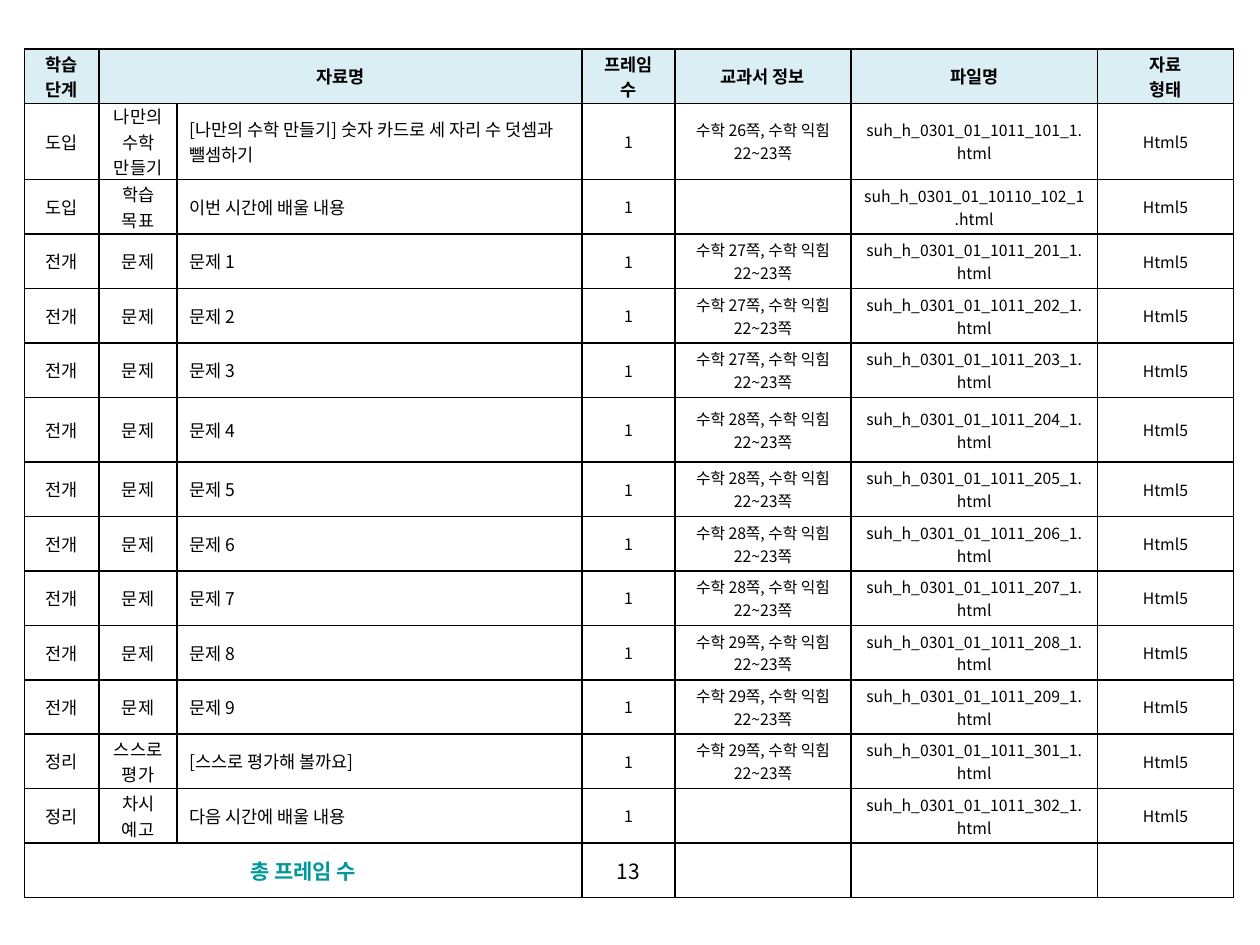
from lxml.etree import SubElement
from pptx import Presentation
from pptx.dml.color import RGBColor
from pptx.enum.text import MSO_ANCHOR, PP_ALIGN
from pptx.oxml.ns import qn
from pptx.util import Pt

BLACK = RGBColor(0x00, 0x00, 0x00)
TEAL = RGBColor(0x00, 0x99, 0x99)
HEADER_BLUE = RGBColor(0xDB, 0xEE, 0xF4)

COLUMN_WIDTHS = [42.6, 44.6, 231.4, 53.1, 100.6, 140.9, 77.7]
ROW_HEIGHT = 31.1
TALL_ROWS = {1: 43.6, 6: 37}
COLUMN_SIZES = [10, 10, 10, 9, 9, 9, 9]
TITLE_COLUMN = 2

HEADERS = ["학습 단계", "자료명", "", "프레임 수", "교과서 정보", "파일명", "자료\n형태"]
PROBLEM_PAGES = [27, 27, 27, 28, 28, 28, 28, 29, 29]


def lesson_row(stage, activity, title, page, file_code):
    textbook = f"수학 {page}쪽, 수학 익힘 22~23쪽" if page else ""
    return [stage, activity, title, "1", textbook,
            f"suh_h_0301_01_{file_code}_1.html", "Html5"]


LESSONS = [
    lesson_row("도입", "나만의 수학 만들기",
               "[나만의 수학 만들기] 숫자 카드로 세 자리 수 덧셈과 뺄셈하기", 26, "1011_101"),
    lesson_row("도입", "학습 목표", "이번 시간에 배울 내용", None, "10110_102"),
    *[lesson_row("전개", "문제", f"문제 {number}", page, f"1011_{200 + number}")
      for number, page in enumerate(PROBLEM_PAGES, 1)],
    lesson_row("정리", "스스로 평가", "[스스로 평가해 볼까요]", 29, "1011_301"),
    lesson_row("정리", "차시 예고", "다음 시간에 배울 내용", None, "1011_302"),
]


class SlideBuilder:
    font_name = "Noto Sans CJK KR"
    border_width = Pt(1)
    side_margin = Pt(7.2)

    def __init__(self, presentation):
        self.slide = presentation.slides.add_slide(presentation.slide_layouts[6])

    def table(self, left, top, column_widths, row_heights):
        frame = self.slide.shapes.add_table(
            len(row_heights), len(column_widths), Pt(left), Pt(top),
            Pt(sum(column_widths)), Pt(sum(row_heights)))
        table = frame.table
        table.first_row = table.horz_banding = False
        for column, width in zip(table.columns, column_widths):
            column.width = Pt(width)
        for row, height in zip(table.rows, row_heights):
            row.height = Pt(height)
        for cell in table.iter_cells():
            self.borders(cell)
            cell.fill.background()
            cell.vertical_anchor = MSO_ANCHOR.MIDDLE
            cell.margin_left = cell.margin_right = self.side_margin
            cell.margin_top = cell.margin_bottom = 0
        return table

    def borders(self, cell):
        properties = cell._tc.get_or_add_tcPr()
        for side in ("a:lnL", "a:lnR", "a:lnT", "a:lnB"):
            line = SubElement(properties, qn(side), w=str(self.border_width))
            fill = SubElement(line, qn("a:solidFill"))
            SubElement(fill, qn("a:srgbClr"), val=str(BLACK))

    def cell_text(self, cell, text, size, bold=False, color=BLACK,
                  alignment=PP_ALIGN.CENTER):
        frame = cell.text_frame
        for index, line in enumerate(text.split("\n")):
            paragraph = frame.add_paragraph() if index else frame.paragraphs[0]
            paragraph.alignment = alignment
            if not line:
                continue
            run = paragraph.add_run()
            run.text = line
            run.font.name = self.font_name
            run.font.size = Pt(size)
            run.font.bold = bold
            run.font.color.rgb = color
            SubElement(run.font._element, qn("a:ea"), typeface=self.font_name)


def main():
    presentation = Presentation()
    presentation.slide_width = Pt(720)
    presentation.slide_height = Pt(540)
    builder = SlideBuilder(presentation)

    row_count = len(LESSONS) + 2
    row_heights = [TALL_ROWS.get(row, ROW_HEIGHT) for row in range(row_count)]
    table = builder.table(14, 28, COLUMN_WIDTHS, row_heights)
    total_row = row_count - 1
    table.cell(0, 1).merge(table.cell(0, 2))
    table.cell(total_row, 0).merge(table.cell(total_row, 2))

    for column, header in enumerate(HEADERS):
        cell = table.cell(0, column)
        cell.fill.solid()
        cell.fill.fore_color.rgb = HEADER_BLUE
        builder.cell_text(cell, header, 10, bold=True)

    for row, lesson in enumerate(LESSONS, 1):
        for column, (text, size) in enumerate(zip(lesson, COLUMN_SIZES)):
            alignment = PP_ALIGN.LEFT if column == TITLE_COLUMN else PP_ALIGN.CENTER
            builder.cell_text(table.cell(row, column), text, size, alignment=alignment)

    builder.cell_text(table.cell(total_row, 0), "총 프레임 수", 12, bold=True, color=TEAL)
    builder.cell_text(table.cell(total_row, 3), str(len(LESSONS)), 12)

    presentation.save("out.pptx")


if __name__ == "__main__":
    main()
